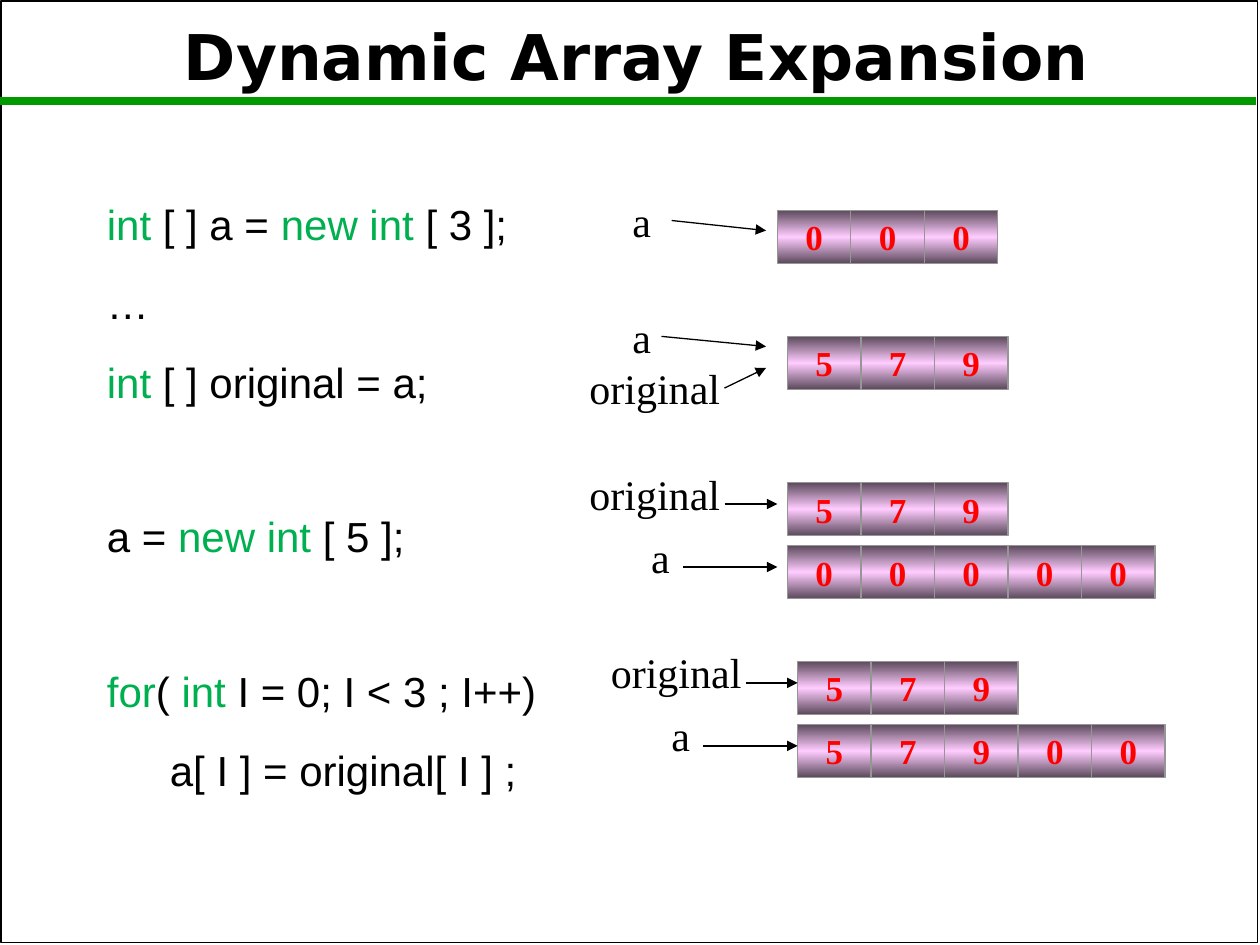
from copy import deepcopy

from pptx import Presentation
from pptx.dml.color import RGBColor
from pptx.enum.shapes import MSO_CONNECTOR as Connector, MSO_SHAPE as Shape
from pptx.enum.text import MSO_ANCHOR as Anchor, MSO_AUTO_SIZE as AutoSize, PP_ALIGN as Align
from pptx.oxml.ns import qn
from pptx.util import Inches, Pt

BLACK, GREEN, RED = "000000", "00B050", "FF0000"
RULE_GREEN, DARK_PURPLE, PINK, GRAY = "009900", "5C4A5C", "FFCCFF", "969696"
CELL_WIDTH, CELL_HEIGHT = 7 / 12, 0.42
LINE_GAP, BLOCK_GAP = 1.8, 45

CODE = [
    (LINE_GAP, 0, [("int", GREEN), (" [ ] a = ", BLACK), ("new int ", GREEN), ("[ 3 ];", BLACK)]),
    (LINE_GAP, 0, [("…", BLACK)]),
    (LINE_GAP, 0, [("int", GREEN), (" [ ] original = a;", BLACK)]),
    (BLOCK_GAP, 0, [("a = ", BLACK), ("new int ", GREEN), ("[ 5 ];", BLACK)]),
    (BLOCK_GAP, 0, [("for", GREEN), ("( ", BLACK), ("int", GREEN), (" I = 0; I < 3 ; I++)", BLACK)]),
    (LINE_GAP, 0.5, [("a[ I ] = original[ I ] ;", BLACK)]),
]
ARRAYS = [
    (6.17, 1.67, "000"),
    (6.25, 2.67, "579"),
    (6.25, 3.83, "579"),
    (6.25, 4.33, "00000"),
    (6.33, 5.25, "579"),
    (6.33, 5.75, "57900"),
]
LABEL_WIDTHS = {"a": 0.35, "original": 1.24}
REFERENCES = [
    ("a", 4.92, 1.5, (5.33, 1.75), (6.08, 1.83)),
    ("a", 4.92, 2.42, (5.25, 2.67), (6.08, 2.75)),
    ("original", 4.58, 2.83, (5.75, 3.08), (6.08, 2.92)),
    ("original", 4.58, 3.67, (5.75, 4), (6.17, 4)),
    ("a", 5.07, 4.17, (5.42, 4.5), (6.17, 4.5)),
    ("original", 4.75, 5.08, (5.92, 5.42), (6.33, 5.42)),
    ("a", 5.23, 5.58, (5.58, 5.92), (6.33, 5.92)),
]


def color(value):
    return RGBColor.from_string(value)


class SlideBuilder:
    """Draws code, arrays and references on one slide in a shared style."""

    title_font, code_font, diagram_font = "DejaVu Sans", "Arial", "Times New Roman"

    def __init__(self, slide):
        self.slide = slide

    def set_font(self, paragraph, name, size, hex_color, bold=False):
        font = paragraph.font
        font.name, font.size, font.bold = name, Pt(size), bold
        font.color.rgb = color(hex_color)

    def rectangle(self, left, top, width, height, outline, weight):
        shape = self.slide.shapes.add_shape(
            Shape.RECTANGLE, Inches(left), Inches(top), Inches(width), Inches(height))
        shape.shadow.inherit = False
        shape.fill.background()
        shape.line.color.rgb = color(outline)
        shape.line.width = Pt(weight)
        return shape

    def text_frame(self, left, top, width, height, wrap=True):
        box = self.slide.shapes.add_textbox(
            Inches(left), Inches(top), Inches(width), Inches(height))
        box.text_frame.word_wrap = wrap
        return box.text_frame

    def line(self, start, end, hex_color, weight, arrow=False):
        connector = self.slide.shapes.add_connector(
            Connector.STRAIGHT, *(Inches(value) for value in (*start, *end)))
        connector.line.color.rgb = color(hex_color)
        connector.line.width = Pt(weight)
        properties = connector._element.spPr
        if arrow:
            outline = properties.find(qn("a:ln"))
            outline.append(outline.makeelement(qn("a:tailEnd"), {"type": "triangle"}))
        properties.append(properties.makeelement(qn("a:effectLst"), {}))

    def title(self, text):
        frame = self.text_frame(0.1, 0, 9.9, 0.95)
        frame.vertical_anchor = Anchor.MIDDLE
        paragraph = frame.paragraphs[0]
        paragraph.text = text
        paragraph.alignment = Align.CENTER
        paragraph.line_spacing = 0.9
        self.set_font(paragraph, self.title_font, 36, BLACK, bold=True)

    def code(self, lines):
        frame = self.text_frame(0.75, 1.33, 3.92, 5.42)
        for index, (gap, indent, parts) in enumerate(lines):
            paragraph = frame.add_paragraph() if index else frame.paragraphs[0]
            paragraph.line_spacing = 1.5
            paragraph.space_before = Pt(gap)
            paragraph._p.get_or_add_pPr().set("marL", str(Inches(indent)))
            self.set_font(paragraph, self.code_font, 24, BLACK)
            for text, hex_color in parts:
                run = paragraph.add_run()
                run.text = text
                run.font.color.rgb = color(hex_color)

    def cell(self, left, top, digit):
        shape = self.rectangle(left, top, CELL_WIDTH, CELL_HEIGHT, GRAY, 0.75)
        shape.fill.gradient()
        shape.fill.gradient_angle = 90
        stop_list = shape._element.spPr.find(".//" + qn("a:gsLst"))
        stop_list.insert(1, deepcopy(stop_list[0]))
        stops = zip(shape.fill.gradient_stops, (0, 0.5, 1), (DARK_PURPLE, PINK, DARK_PURPLE))
        for stop, position, hex_color in stops:
            stop.position = position
            stop.color.rgb = color(hex_color)
        frame = shape.text_frame
        frame.word_wrap = False
        frame.vertical_anchor = Anchor.MIDDLE
        paragraph = frame.paragraphs[0]
        paragraph.text = digit
        paragraph.alignment = Align.CENTER
        self.set_font(paragraph, self.diagram_font, 20, RED, bold=True)

    def array(self, left, top, digits):
        for index, digit in enumerate(digits):
            self.cell(left + index * CELL_WIDTH, top, digit)

    def reference(self, name, left, top, start, end):
        frame = self.text_frame(left, top, LABEL_WIDTHS[name], 0.5, wrap=False)
        frame.auto_size = AutoSize.SHAPE_TO_FIT_TEXT
        paragraph = frame.paragraphs[0]
        paragraph.text = name
        self.set_font(paragraph, self.diagram_font, 24, BLACK)
        self.line(start, end, BLACK, 0.75, arrow=True)


def main():
    presentation = Presentation()
    presentation.slide_width, presentation.slide_height = Inches(10), Inches(7.5)
    builder = SlideBuilder(presentation.slides.add_slide(presentation.slide_layouts[6]))
    builder.rectangle(0.01, 0.01, 9.97, 7.47, BLACK, 1)
    builder.line((0, 0.8), (9.97, 0.8), RULE_GREEN, 4.5)
    builder.title("Dynamic Array Expansion")
    builder.code(CODE)
    for array in ARRAYS:
        builder.array(*array)
    for reference in REFERENCES:
        builder.reference(*reference)
    presentation.save("out.pptx")


if __name__ == "__main__":
    main()
